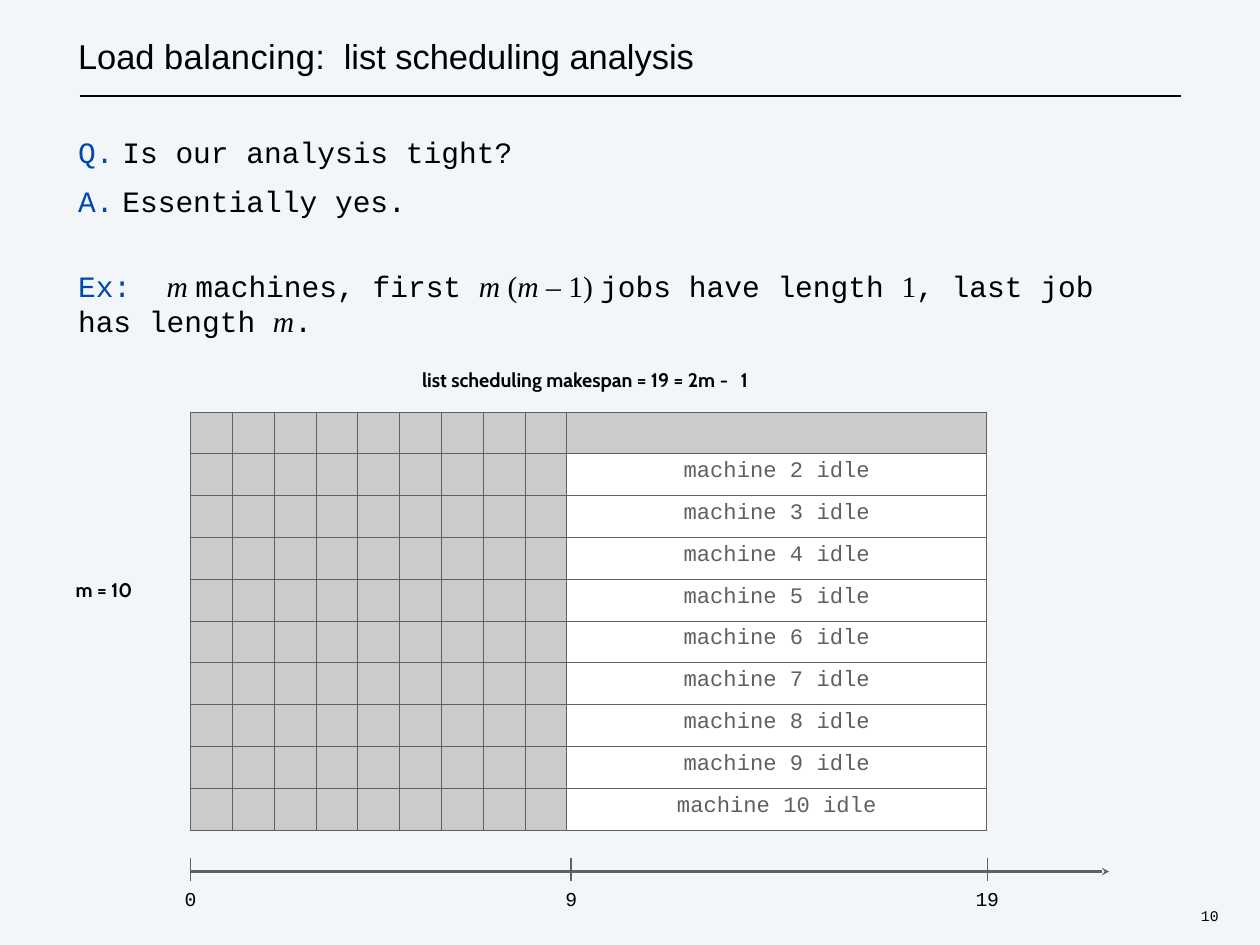
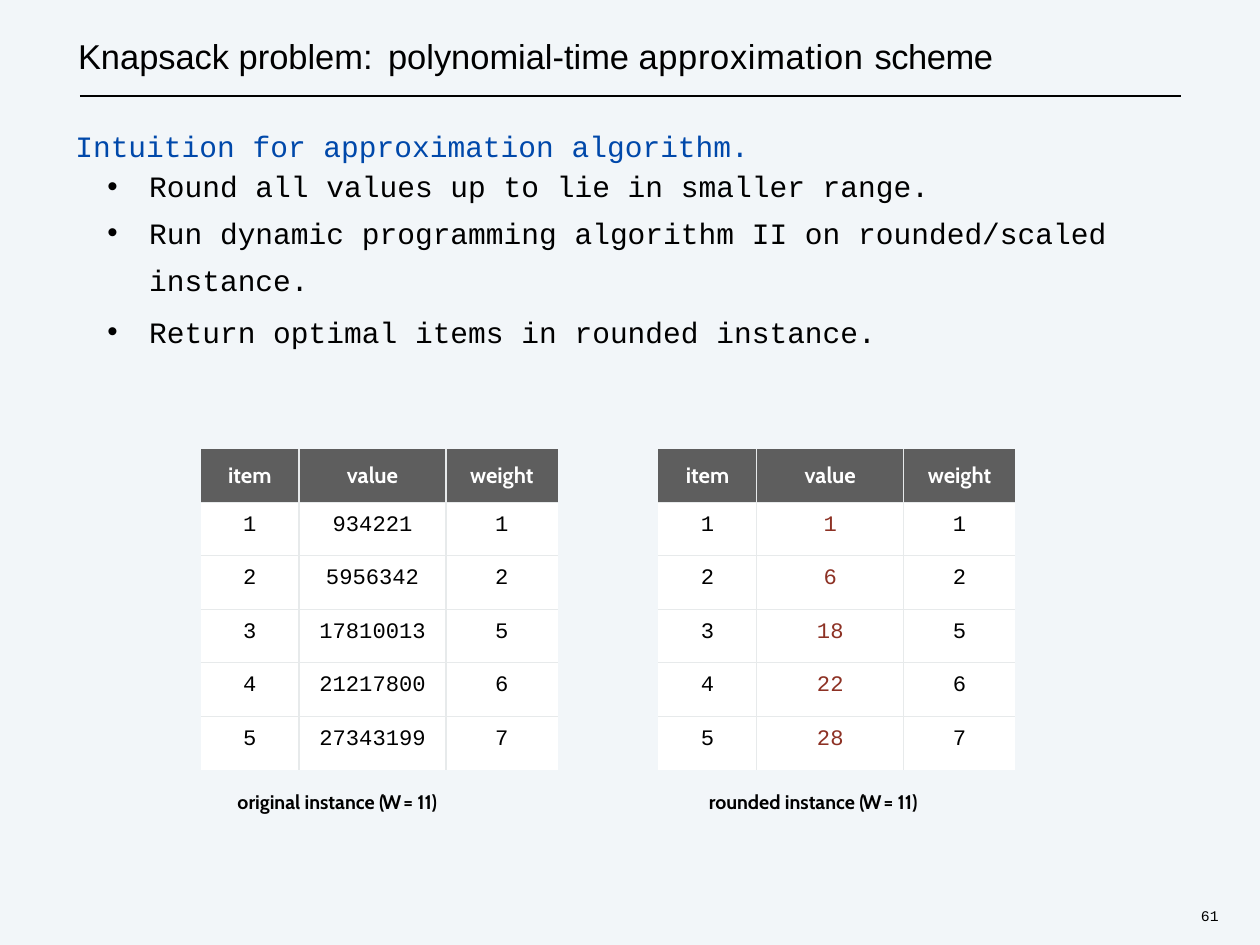
from lxml import etree
from pptx import Presentation
from pptx.dml.color import RGBColor
from pptx.enum.shapes import MSO_CONNECTOR
from pptx.enum.text import MSO_ANCHOR, MSO_AUTO_SIZE, PP_ALIGN
from pptx.oxml.ns import qn
from pptx.util import Pt

STRAIGHT = MSO_CONNECTOR.STRAIGHT
TOP = MSO_ANCHOR.TOP
FIXED = MSO_AUTO_SIZE.NONE
LEFT, CENTER = PP_ALIGN.LEFT, PP_ALIGN.CENTER

COLORS = {
    "page": "F2F6F9", "ink": "000000", "blue": "0048AA", "red": "8D3124",
    "white": "FFFFFF", "busy": "CBCBCB", "gray": "606060",
    "header": "5E5E5E", "grid": "E7EAEB",
}

# Text styles: font attributes, plus colour and letter spacing in points
STYLES = {
    "title": {"name": "Arial", "size": Pt(28), "color": "ink"},
    "body": {"name": "Courier New", "size": Pt(24), "color": "ink"},
    "lead": {"name": "Courier New", "size": Pt(24), "color": "blue"},
    "math": {"name": "Times New Roman", "size": Pt(24), "color": "ink"},
    "variable": {"name": "Times New Roman", "size": Pt(24), "color": "ink",
                 "italic": True},
    "label": {"name": "Cabin", "size": Pt(16), "color": "ink", "bold": True},
    "tick": {"name": "Courier New", "size": Pt(16), "color": "ink",
             "spacing": -0.3},
    "number": {"name": "Courier New", "size": Pt(12), "color": "ink"},
    "idle": {"name": "Courier New", "size": Pt(18), "color": "gray"},
    "header": {"name": "Cabin", "size": Pt(18), "color": "white", "bold": True},
    "value": {"name": "Courier New", "size": Pt(18), "color": "ink"},
    "rounded": {"name": "Courier New", "size": Pt(18), "color": "red"},
}


def rgb(name):
    return RGBColor.from_string(COLORS[name])


def child(parent, tag, **attributes):
    return etree.SubElement(parent, qn(tag), attributes)


class SlideBuilder:
    """Holds the deck, the shared style and the current slide."""

    def __init__(self):
        self.deck = Presentation()
        self.deck.slide_width, self.deck.slide_height = Pt(1024), Pt(768)
        fill = self.deck.slide_master.background.fill
        fill.solid()
        fill.fore_color.rgb = rgb("page")
        self.page = None

    def start(self, title, tab, number):
        """Adds a slide with its title, rule and page number."""
        self.page = self.deck.slides.add_slide(self.deck.slide_layouts[1])
        self.place(self.page.shapes.title, 63.4, 27.4, 800, 36)
        self.fill_text(self.page.shapes.title.text_frame,
                       [(title, {"tab": tab})])
        self.line((65, 78), (960, 78), "ink", 1)
        self.label([(number, "number")], 976, 736, 30, 17)

    def place(self, box, left, top, width, height):
        box.left, box.top = Pt(left), Pt(top)
        box.width, box.height = Pt(width), Pt(height)
        frame_format = {
            "word_wrap": True, "auto_size": FIXED, "vertical_anchor": TOP,
            "margin_left": 0, "margin_right": 0,
            "margin_top": Pt(1), "margin_bottom": 0,
        }
        for key, value in frame_format.items():
            setattr(box.text_frame, key, value)

    def fill_text(self, frame, paragraphs):
        """Fills a frame from (spans, layout) pairs."""
        for index, (spans, layout) in enumerate(paragraphs):
            para = frame.paragraphs[0] if index == 0 else frame.add_paragraph()
            settings = {
                "alignment": layout.get("align", LEFT),
                "space_before": Pt(layout.get("before", 0)),
            }
            if "line" in layout:
                settings["line_spacing"] = Pt(layout["line"])
            for key, value in settings.items():
                setattr(para, key, value)
            self.indent(para, layout)
            for span in spans:
                self.span(para, *span)

    def indent(self, para, layout):
        """Sets bullet, margins and tab stop of a paragraph."""
        properties = para._p.get_or_add_pPr()
        bullet = layout.get("bullet", False)
        properties.set("marL", str(Pt(60) if bullet else 0))
        properties.set("indent", str(Pt(-34) if bullet else 0))
        if bullet:
            child(properties, "a:buFont", typeface="Arial")
            child(properties, "a:buChar", char="•")
        else:
            child(properties, "a:buNone")
        if "tab" in layout:
            tabs = child(properties, "a:tabLst")
            child(tabs, "a:tab", pos=str(Pt(layout["tab"])), algn="l")

    def span(self, para, text, style, spacing=0):
        run = para.add_run()
        run.text = text
        values = dict(STYLES[style])
        run.font.color.rgb = rgb(values.pop("color"))
        spacing = values.pop("spacing", spacing)
        for key, value in values.items():
            setattr(run.font, key, value)
        if spacing:
            run._r.get_or_add_rPr().set("spc", str(round(spacing * 100)))

    def body(self, paragraphs, left, top, width, height):
        box = self.page.placeholders[1]
        self.place(box, left, top, width, height)
        self.fill_text(box.text_frame, paragraphs)

    def label(self, spans, left, top, width, height, **layout):
        box = self.page.shapes.add_textbox(0, 0, 0, 0)
        self.place(box, left, top, width, height)
        self.fill_text(box.text_frame, [(spans, layout)])

    def line(self, start, end, color, width, arrow=False):
        points = [Pt(value) for value in (*start, *end)]
        line = self.page.shapes.add_connector(STRAIGHT, *points)
        line.line.color.rgb = rgb(color)
        line.line.width = Pt(width)
        properties = line._element.spPr
        if arrow:
            child(properties.find(qn("a:ln")), "a:tailEnd", type="stealth")
        child(properties, "a:effectLst")

    def table(self, cells, left, top, columns, row_height, border, outer):
        """Draws rows of (text, style, fill, top margin) cells."""
        rows, count = len(cells), len(columns)
        frame = self.page.shapes.add_table(
            rows, count, Pt(left), Pt(top),
            Pt(sum(columns)), Pt(rows * row_height))
        table = frame.table
        table.first_row = table.horz_banding = False
        for column, width in zip(table.columns, columns):
            column.width = Pt(width)
        for y, row in enumerate(cells):
            table.rows[y].height = Pt(row_height)
            for x, (text, style, fill, margin) in enumerate(row):
                cell = table.cell(y, x)
                edges = {"L": x > 0, "R": x < count - 1,
                         "T": y > 0, "B": y < rows - 1}
                for side, inner in edges.items():
                    self.border(cell, side, border if inner or outer else None)
                cell.fill.solid()
                cell.fill.fore_color.rgb = rgb(fill)
                cell.margin_left = cell.margin_right = cell.margin_bottom = 0
                cell.margin_top = Pt(margin)
                cell.vertical_anchor = TOP
                if text:
                    self.fill_text(cell.text_frame,
                                   [([(text, style)], {"align": CENTER})])

    def border(self, cell, side, border):
        properties = cell._tc.get_or_add_tcPr()
        if border is None:
            child(child(properties, f"a:ln{side}", w="0"), "a:noFill")
            return
        color, width = border
        edge = child(properties, f"a:ln{side}", w=str(Pt(width)))
        child(child(edge, "a:solidFill"), "a:srgbClr", val=COLORS[color])


def scheduling_slide(builder):
    builder.start([("Load ", "title"), ("balancing:", "title", 0.4),
                   ("\tlist scheduling analysis", "title")], 223, "10")
    builder.body([
        ([("Q.\t", "lead"), ("Is our analysis tight?", "body")], {"tab": 42.5}),
        ([("A.\t", "lead"), ("Essentially yes.", "body")],
         {"tab": 40.3, "before": 11}),
        ([("Ex:\t", "lead"), ("m ", "variable"), ("machines, first ", "body"),
          ("m ", "variable"), ("(", "math"), ("m ", "variable"),
          ("– 1) ", "math"), ("jobs have length ", "body"), ("1", "math"),
          (", last job has length ", "body"), ("m", "variable"), (".", "body")],
         {"tab": 51, "before": 40}),
    ], 63.4, 108, 834.5, 160)

    # Schedule: nine unit jobs per machine, then the long job or idle time
    unit, left, top, machines = 34, 154.8, 334.8, 10
    busy = ("", "idle", "busy", 0)
    cells = [[busy] * machines]
    for machine in range(2, machines + 1):
        idle = (f"machine {machine} idle", "idle", "white", 4.4)
        cells.append([busy] * (machines - 1) + [idle])
    builder.table(cells, left, top, [unit] * (machines - 1) + [341], unit,
                  ("gray", 0.75), outer=True)
    builder.label([("list scheduling makespan = 19 = 2m ", "label"),
                   ("- ", "label", 3.3), ("1", "label")], 343, 298, 338, 21)
    builder.label([("m = 10", "label")], 61.5, 468.7, 62, 21)

    # Time axis
    axis = 708.3
    builder.line((left, axis), (901.4, axis), "gray", 2, arrow=True)
    for time, x in (("0", left), ("9", 464.2), ("19", 802.4)):
        builder.line((x, axis - 10.6), (x, axis + 7.4), "gray", 1.25)
        builder.label([(time, "tick")], x - 15, 720, 30, 20,
                      align=CENTER, line=19.2)


def knapsack_slide(builder):
    builder.start([("Knapsack problem:\tpolynomial-time ", "title"),
                   ("approximation ", "title", 0.6),
                   ("scheme", "title", -0.3)], 264, "61")
    steps = [
        ("Round all values up to lie in smaller range.", 32.5, 0),
        ("Run dynamic programming algorithm II on rounded/scaled instance.",
         38, 0),
        ("Return optimal items in rounded instance.", 36, 6.5),
    ]
    builder.body(
        [([("Intuition for approximation algorithm.", "lead")], {"line": 26})]
        + [([(step, "body")], {"bullet": True, "line": line, "before": before})
           for step, line, before in steps],
        61.2, 106, 854, 185)

    # Instances side by side
    weights = [1, 2, 5, 6, 7]
    instances = [
        ("original", 163, 193, "value",
         [934221, 5956342, 17810013, 21217800, 27343199]),
        ("rounded", 535, 576, "rounded", [1, 6, 18, 22, 28]),
    ]
    for name, left, caption_left, style, values in instances:
        cells = [[(heading, "header", "header", 10.8)
                  for heading in ("item", "value", "weight")]]
        for item, (value, weight) in enumerate(zip(values, weights), 1):
            cells.append([(str(item), "value", "white", 8.6),
                          (str(value), style, "white", 8.6),
                          (str(weight), "value", "white", 8.6)])
        builder.table(cells, left, 365, [80, 119.5, 90.7], 43.4,
                      ("grid", 1), outer=False)
        builder.label([(f"{name} instance ", "label"), ("(W ", "label", -1.9),
                       ("= 11)", "label")], caption_left, 641, 220, 21)


def main():
    builder = SlideBuilder()
    scheduling_slide(builder)
    knapsack_slide(builder)
    builder.deck.save("out.pptx")


if __name__ == "__main__":
    main()
